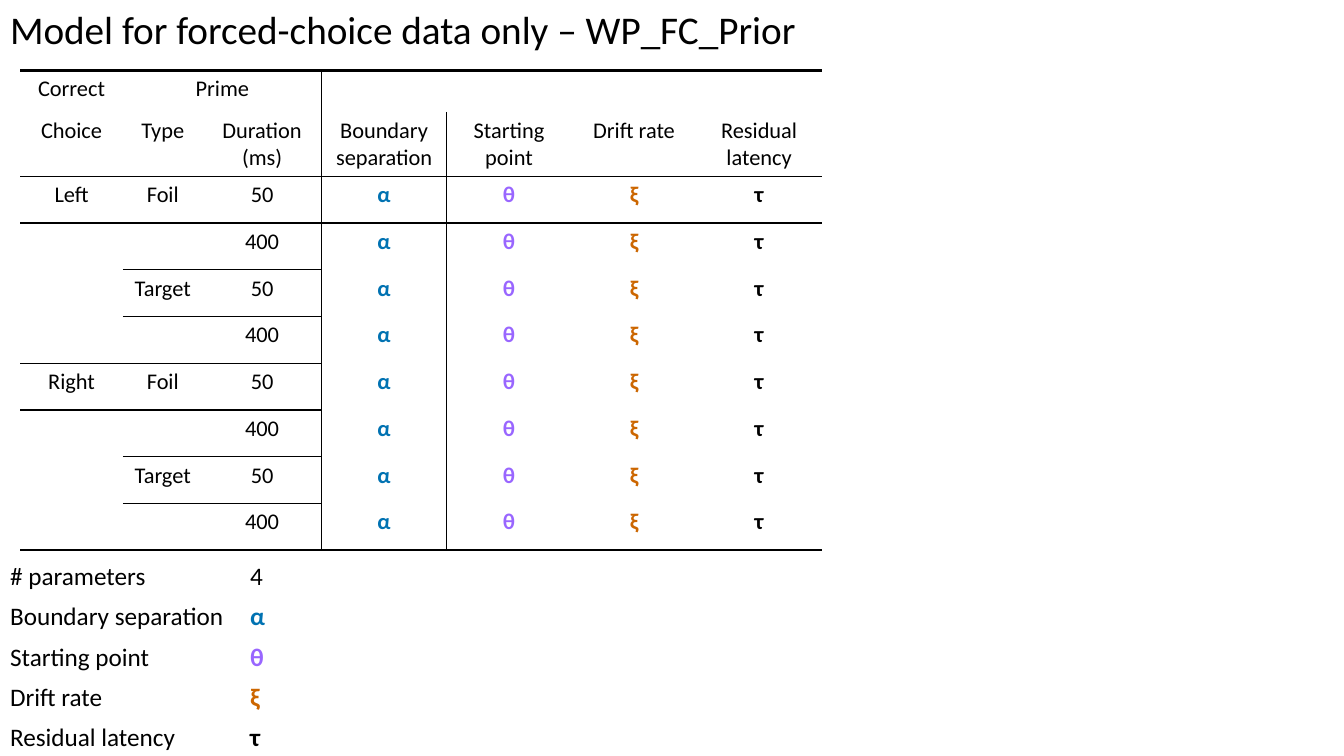
from dataclasses import dataclass
from itertools import product

from lxml import etree
from pptx import Presentation
from pptx.dml.color import RGBColor
from pptx.enum.text import MSO_ANCHOR, MSO_AUTO_SIZE, PP_ALIGN
from pptx.oxml.ns import qn
from pptx.slide import Slide
from pptx.table import Table, _Cell
from pptx.text.text import TextFrame
from pptx.util import Inches, Pt

LEFT, CENTER = PP_ALIGN.LEFT, PP_ALIGN.CENTER
TOP = MSO_ANCHOR.TOP
NO_WRAP_FIT = MSO_AUTO_SIZE.SHAPE_TO_FIT_TEXT

BLACK = RGBColor(0x00, 0x00, 0x00)
WHITE = RGBColor(0xFF, 0xFF, 0xFF)
BLUE = RGBColor(0x00, 0x72, 0xB2)
PURPLE = RGBColor(0x99, 0x66, 0xFF)
ORANGE = RGBColor(0xCC, 0x66, 0x00)

FONT = "Calibri"
PLAIN = "{2D5ABB26-0587-4C30-8999-92F81FD0307C}"  # no style, no grid
THICK, THIN = 2.25, 1.0


@dataclass
class Param:
    name: str
    sign: str
    color: RGBColor


@dataclass
class Factor:
    head: str
    step: int  # body rows per level


PARAMS = [
    Param("Boundary separation", "α", BLUE),
    Param("Starting point", "θ", PURPLE),
    Param("Drift rate", "ξ", ORANGE),
    Param("Residual latency", "τ", BLACK),
]
FACTORS = [Factor("Choice", 4), Factor("Type", 2), Factor("Duration (ms)", 1)]
CASES = list(product(("Left", "Right"), ("Foil", "Target"), ("50", "400")))
SPLIT = len(FACTORS)


def write(frame: TextFrame, text: str, size: float, align: PP_ALIGN = LEFT,
          color: RGBColor = BLACK, bold: bool = False) -> None:
    for i, line in enumerate(text.split("\n")):
        para = frame.paragraphs[0] if i == 0 else frame.add_paragraph()
        para.alignment = align
        run = para.add_run()
        run.text = line
        font = run.font
        font.name, font.size, font.bold = FONT, Pt(size), bold
        font.color.rgb = color


def add_grid(slide: Slide, left: float, top: float, cols: list[float],
             rows: list[float]) -> Table:
    frame = slide.shapes.add_table(
        len(rows), len(cols), Inches(left), Inches(top),
        Inches(sum(cols)), Inches(sum(rows)))
    grid = frame.table
    grid.first_row = grid.horz_banding = False
    grid._tbl.tblPr.find(qn("a:tableStyleId")).text = PLAIN
    for col, width in zip(grid.columns, cols):
        col.width = Inches(width)
    for row, height in zip(grid.rows, rows):
        row.height = Inches(height)
    return grid


def rule(cell: _Cell, side: str, width: float) -> None:
    line = etree.SubElement(cell._tc.get_or_add_tcPr(), qn(f"a:ln{side}"),
                            w=str(Pt(width)))
    fill = etree.SubElement(line, qn("a:solidFill"))
    etree.SubElement(fill, qn("a:srgbClr"), val=str(BLACK))


def has_line(row: int, col: int) -> bool:
    """Tell whether a line runs below this cell."""
    step = FACTORS[col].step if col < SPLIT else len(CASES)
    return row >= 1 and (row - 1) % step == 0


def add_rules(grid: Table) -> None:
    for row, col in product(range(len(grid.rows)), range(len(grid.columns))):
        cell = grid.cell(row, col)
        if col == SPLIT:
            rule(cell, "L", THIN)
        if col == SPLIT - 1 or (row, col) == (0, 1):
            rule(cell, "R", THIN)
        if row == 0:
            rule(cell, "T", THICK)
        elif has_line(row - 1, col):
            rule(cell, "T", THIN)
        if has_line(row, col):
            rule(cell, "B", THIN)
        cell.fill.background()


def add_design(slide: Slide) -> None:
    cols = [1.02, 0.79, 1.18] + [1.24] * len(PARAMS)
    rows = [0.41, 0.64] + [3.71 / len(CASES)] * len(CASES)
    grid = add_grid(slide, 0.2, 0.7, cols, rows)

    def put(row: int, col: int, text: str, color: RGBColor = BLACK,
            bold: bool = False) -> None:
        write(grid.cell(row, col).text_frame, text, 16, CENTER, color, bold)

    # Heads
    grid.cell(0, 1).merge(grid.cell(0, SPLIT - 1))
    grid.cell(0, SPLIT).merge(grid.cell(0, len(cols) - 1))
    put(0, 0, "Correct")
    put(0, 1, "Prime")
    for col, factor in enumerate(FACTORS):
        put(1, col, factor.head)
    for col, param in enumerate(PARAMS, SPLIT):
        name = param.name
        put(1, col, name if name == "Drift rate" else name.replace(" ", "\n"))

    # Body
    for i, case in enumerate(CASES):
        for col, (factor, level) in enumerate(zip(FACTORS, case)):
            if i % factor.step == 0:
                put(i + 2, col, level)
        for col, param in enumerate(PARAMS, SPLIT):
            put(i + 2, col, param.sign, param.color, True)
    add_rules(grid)


def add_key(slide: Slide) -> None:
    items = [Param("# parameters", str(len(PARAMS)), BLACK)] + PARAMS
    grid = add_grid(slide, 0, 5.52, [2.38, 10.83], [0.4] * len(items))
    for row, item in enumerate(items):
        name, sign = grid.cell(row, 0), grid.cell(row, 1)
        write(name.text_frame, item.name, 18)
        write(sign.text_frame, item.sign, 18, LEFT, item.color, row > 0)
        for cell in (name, sign):
            cell.fill.solid()
            cell.fill.fore_color.rgb = WHITE


def add_title(slide: Slide) -> None:
    title = slide.shapes.title
    title.left, title.top = Inches(0), Inches(0)
    title.width, title.height = Inches(8.12), Inches(0.57)
    frame = title.text_frame
    frame.word_wrap = False
    frame.auto_size = NO_WRAP_FIT
    frame.vertical_anchor = TOP
    write(frame, "Model for forced-choice data only – WP_FC_Prior", 28)


def main() -> None:
    deck = Presentation()
    deck.slide_width, deck.slide_height = Inches(13.33), Inches(7.5)
    slide = deck.slides.add_slide(deck.slide_layouts[5])
    add_title(slide)
    add_design(slide)
    add_key(slide)
    deck.save("out.pptx")


if __name__ == "__main__":
    main()
